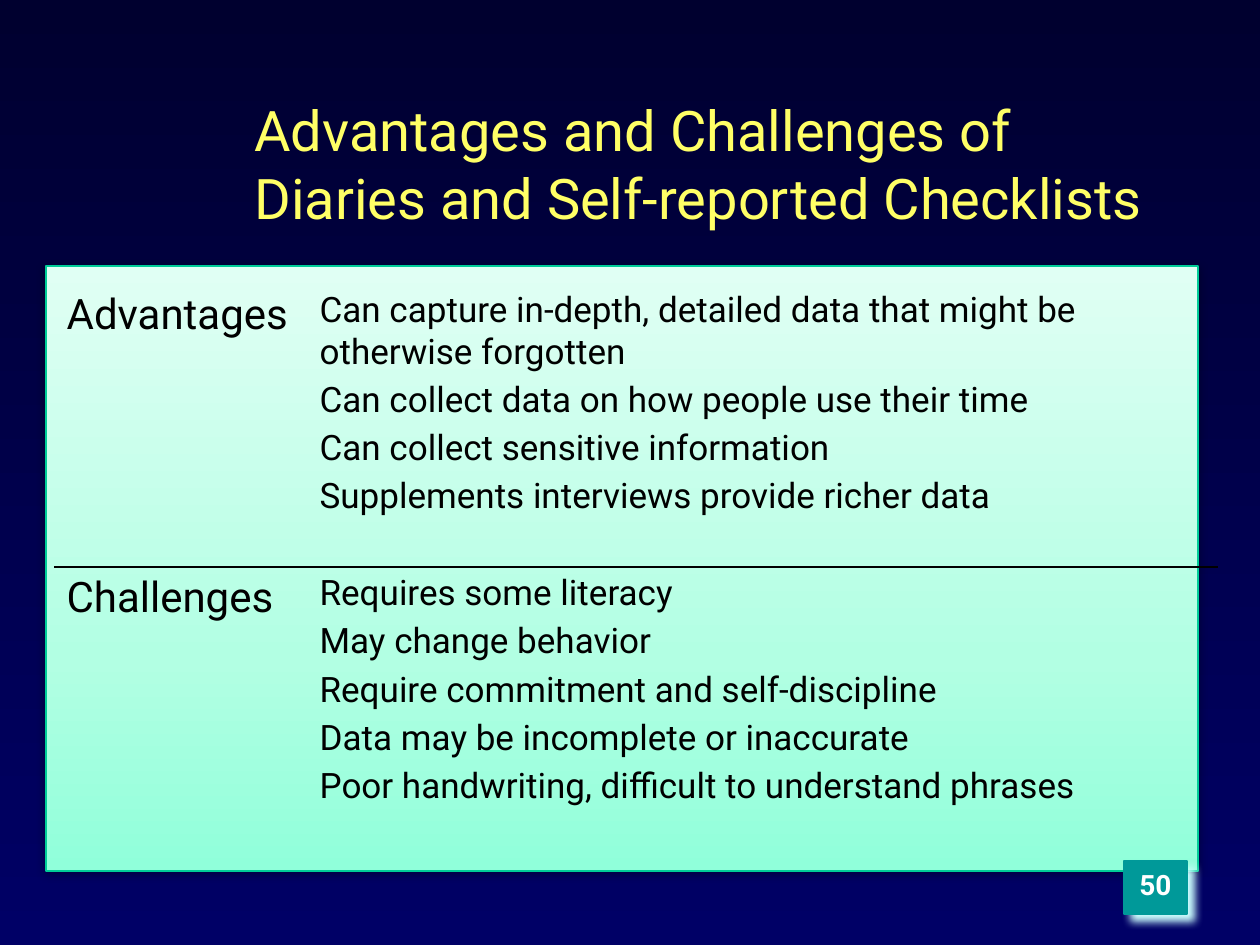
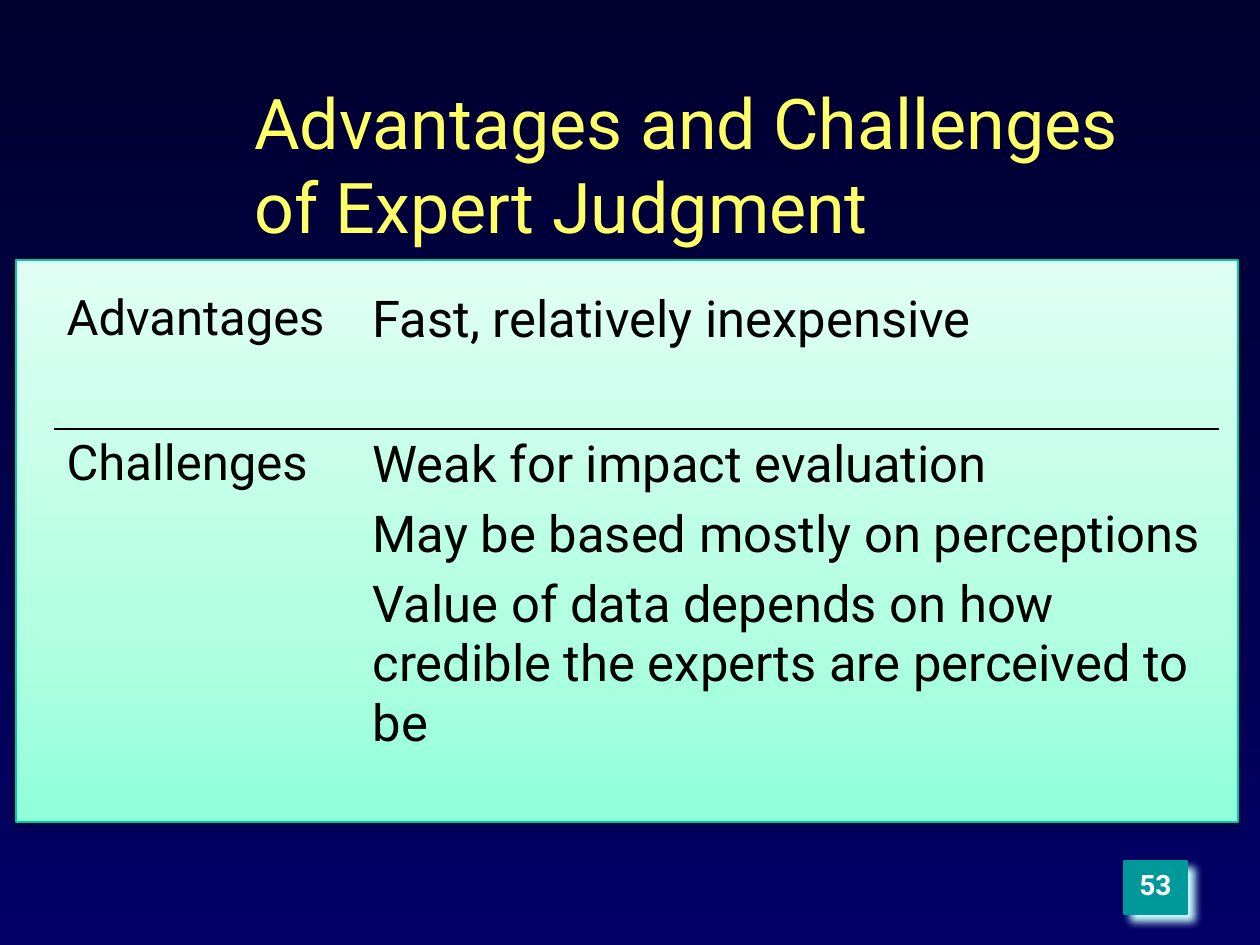
from dataclasses import dataclass

from lxml import etree
from pptx import Presentation, util as u
from pptx.dml.color import RGBColor
from pptx.enum import shapes, text
from pptx.oxml import ns

EMU_PER_PX = 914400 / 126
FONT = "Roboto"
BLACK, WHITE, YELLOW, TEAL = "000000", "FFFFFF", "FFFF66", "009999"
PANEL_EDGE, BADGE_GLOW = "00CC98", "CCFFFF"
NIGHT = [(0, "00002F"), (100, "000066")]
MINT = [(0, "90FFDA"), (35, "B2FFE3"), (100, "E0FFF4")]
NO_STYLE = "{2D5ABB26-0587-4C30-8999-92F81FD0307C}"


@dataclass
class Box:
    left: int
    top: int
    width: int
    height: int

    def emu(self) -> list[u.Emu]:
        return [px(n) for n in (self.left, self.top, self.width, self.height)]


@dataclass
class Shadow:
    color: str
    alpha: int
    blur: float
    distance: float
    angle: int


@dataclass
class Section:
    label: str
    points: list[str]
    height: int


@dataclass
class Method:
    title: str
    title_size: int
    page: str
    panel: Box
    columns: tuple[int, int]
    label_size: int
    point_size: int
    point_gap: float
    sections: list[Section]


TITLE_BOX = Box(242, 84, 924, 158)
BADGE_BOX = Box(1124, 861, 63, 53)
TABLE_LEFT, TABLE_TOP = 54, 284
PANEL_SHADOW = Shadow(BLACK, 38, 5, 1.6, 90)
BADGE_SHADOW = Shadow(BADGE_GLOW, 100, 5, 5.7, 45)

METHODS = [
    Method(
        "Advantages and Challenges of Diaries and Self-reported Checklists",
        32, "50", Box(46, 266, 1152, 605), (253, 911), 24, 20, 4,
        [
            Section("Advantages", [
                "Can capture in-depth, detailed data that might be otherwise forgotten",
                "Can collect data on how people use their time",
                "Can collect sensitive information",
                "Supplements interviews provide richer data",
            ], 283),
            Section("Challenges", [
                "Requires some literacy",
                "May change behavior",
                "Require commitment and self-discipline",
                "Data may be incomplete or inaccurate",
                "Poor handwriting, difficult to understand phrases",
            ], 283),
        ],
    ),
    Method(
        "Advantages and Challenges of Expert Judgment",
        40, "53", Box(16, 260, 1222, 562), (306, 859), 28, 29, 5.8,
        [
            Section("Advantages", ["Fast, relatively inexpensive"], 145),
            Section("Challenges", [
                "Weak for impact evaluation",
                "May be based mostly on perceptions",
                "Value of data depends on how credible the experts are perceived to be",
            ], 341),
        ],
    ),
]


# Shared helpers
def px(length: int) -> u.Emu:
    return u.Emu(round(length * EMU_PER_PX))


def rgb(color: str) -> RGBColor:
    return RGBColor.from_string(color)


def add_node(parent, tag: str, **attributes):
    node = etree.SubElement(parent, ns.qn(tag))
    for key, value in attributes.items():
        node.set(key, str(value))
    return node


def set_gradient(fill, owner, stops: list[tuple[int, str]], angle: int) -> None:
    fill.gradient()
    fill.gradient_angle = 360 - angle
    stop_list = next(owner.iter(ns.qn("a:gsLst")))
    for old_stop in list(stop_list):
        stop_list.remove(old_stop)
    for position, color in stops:
        stop = add_node(stop_list, "a:gs", pos=position * 1000)
        add_node(stop, "a:srgbClr", val=color)


def set_shadow(shape, shadow: Shadow) -> None:
    shape.shadow.inherit = False
    effects = shape.element.spPr.find(ns.qn("a:effectLst"))
    outer = add_node(effects, "a:outerShdw", blurRad=int(u.Pt(shadow.blur)),
                     dist=int(u.Pt(shadow.distance)), dir=shadow.angle * 60000,
                     algn="tl", rotWithShape=0)
    color = add_node(outer, "a:srgbClr", val=shadow.color)
    add_node(color, "a:alpha", val=shadow.alpha * 1000)


def write(frame, lines: list[str], size: int, color: str,
          gap: float = 0, bold: bool = False, align=text.PP_ALIGN.LEFT) -> None:
    frame.word_wrap = True
    for index, line in enumerate(lines):
        paragraph = frame.add_paragraph() if index else frame.paragraphs[0]
        paragraph.alignment = align
        if index:
            paragraph.space_before = u.Pt(gap)
        run = paragraph.add_run()
        run.text = line
        run.font.name, run.font.size, run.font.bold = FONT, u.Pt(size), bold
        run.font.color.rgb = rgb(color)


# Slide parts
def add_rectangle(slide, box: Box, edge: str, shadow: Shadow):
    rectangle = slide.shapes.add_shape(shapes.MSO_SHAPE.RECTANGLE, *box.emu())
    rectangle.line.color.rgb = rgb(edge)
    rectangle.line.width = u.Pt(0.75)
    set_shadow(rectangle, shadow)
    return rectangle


def add_page_badge(slide, page: str) -> None:
    badge = add_rectangle(slide, BADGE_BOX, TEAL, BADGE_SHADOW)
    badge.fill.solid()
    badge.fill.fore_color.rgb = rgb(TEAL)
    badge.text_frame.vertical_anchor = text.MSO_ANCHOR.TOP
    write(badge.text_frame, [page], 16, WHITE, bold=True, align=text.PP_ALIGN.CENTER)


def add_title(slide, method: Method) -> None:
    title = slide.shapes.add_textbox(*TITLE_BOX.emu())
    title.text_frame.vertical_anchor = text.MSO_ANCHOR.MIDDLE
    write(title.text_frame, [method.title], method.title_size, YELLOW)


def add_divider(cell, tag: str) -> None:
    properties = cell._tc.get_or_add_tcPr()
    line = add_node(properties, tag, w=int(u.Pt(1)))
    properties.insert(0, line)
    add_node(add_node(line, "a:solidFill"), "a:srgbClr", val=BLACK)


def add_comparison(slide, method: Method) -> None:
    box = Box(TABLE_LEFT, TABLE_TOP, sum(method.columns),
              sum(section.height for section in method.sections))
    table = slide.shapes.add_table(len(method.sections), 2, *box.emu()).table
    table.first_row = table.horz_banding = False
    next(table._tbl.iter(ns.qn("a:tableStyleId"))).text = NO_STYLE
    for column, width in zip(table.columns, method.columns):
        column.width = px(width)
    for index, section in enumerate(method.sections):
        table.rows[index].height = px(section.height)
        label, points = table.rows[index].cells
        write(label.text_frame, [section.label], method.label_size, BLACK)
        write(points.text_frame, section.points, method.point_size, BLACK, method.point_gap)
        for cell in (label, points):
            cell.fill.background()
            add_divider(cell, "a:lnT" if index else "a:lnB")


def add_method_slide(deck, method: Method) -> None:
    slide = deck.slides.add_slide(deck.slide_layouts[6])
    set_gradient(slide.background.fill, slide.element, NIGHT, 90)
    panel = add_rectangle(slide, method.panel, PANEL_EDGE, PANEL_SHADOW)
    set_gradient(panel.fill, panel.element, MINT, 270)
    add_page_badge(slide, method.page)
    add_title(slide, method)
    add_comparison(slide, method)


def main() -> None:
    deck = Presentation()
    deck.slide_width, deck.slide_height = px(1260), px(945)
    for method in METHODS:
        add_method_slide(deck, method)
    deck.save("out.pptx")


if __name__ == "__main__":
    main()
